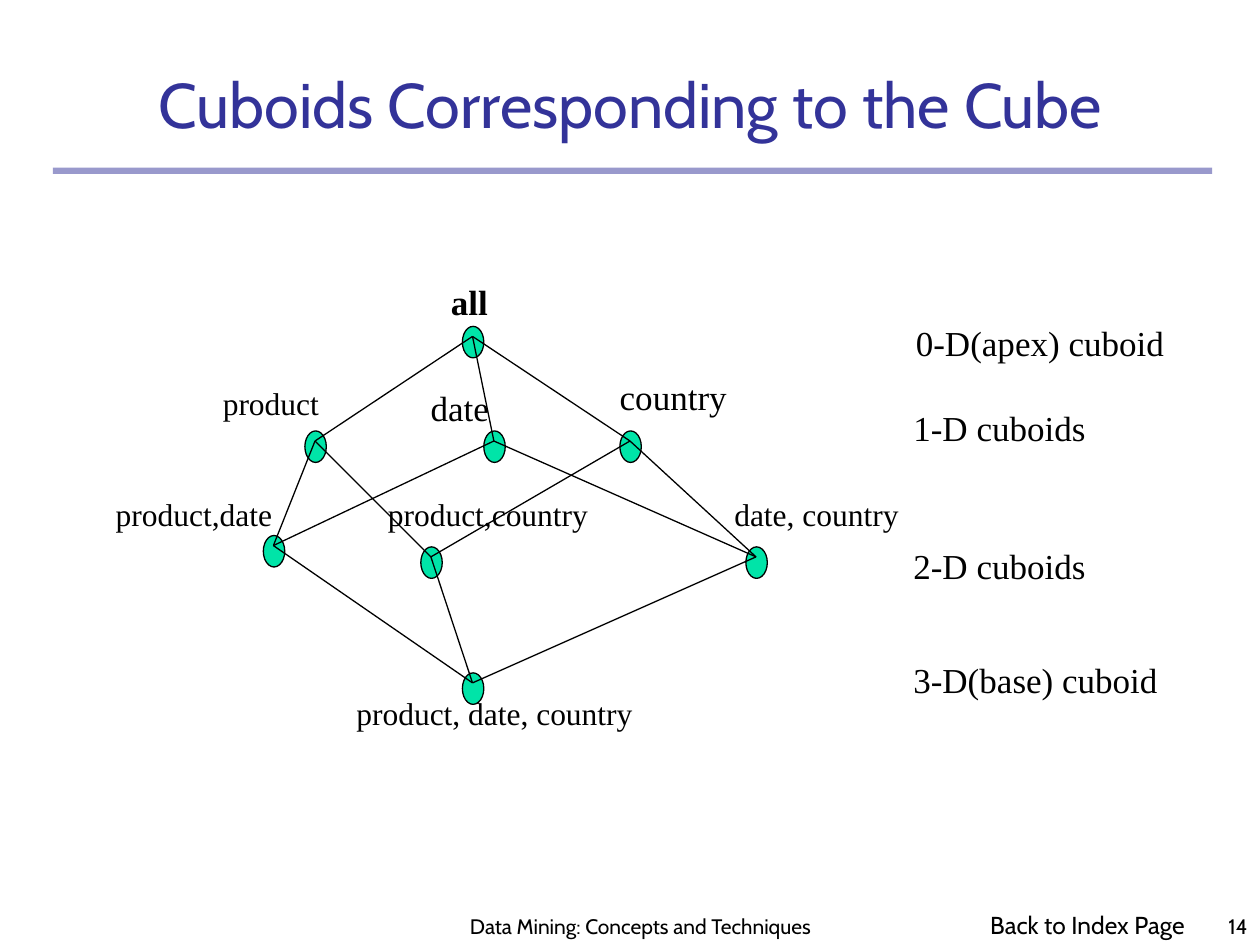
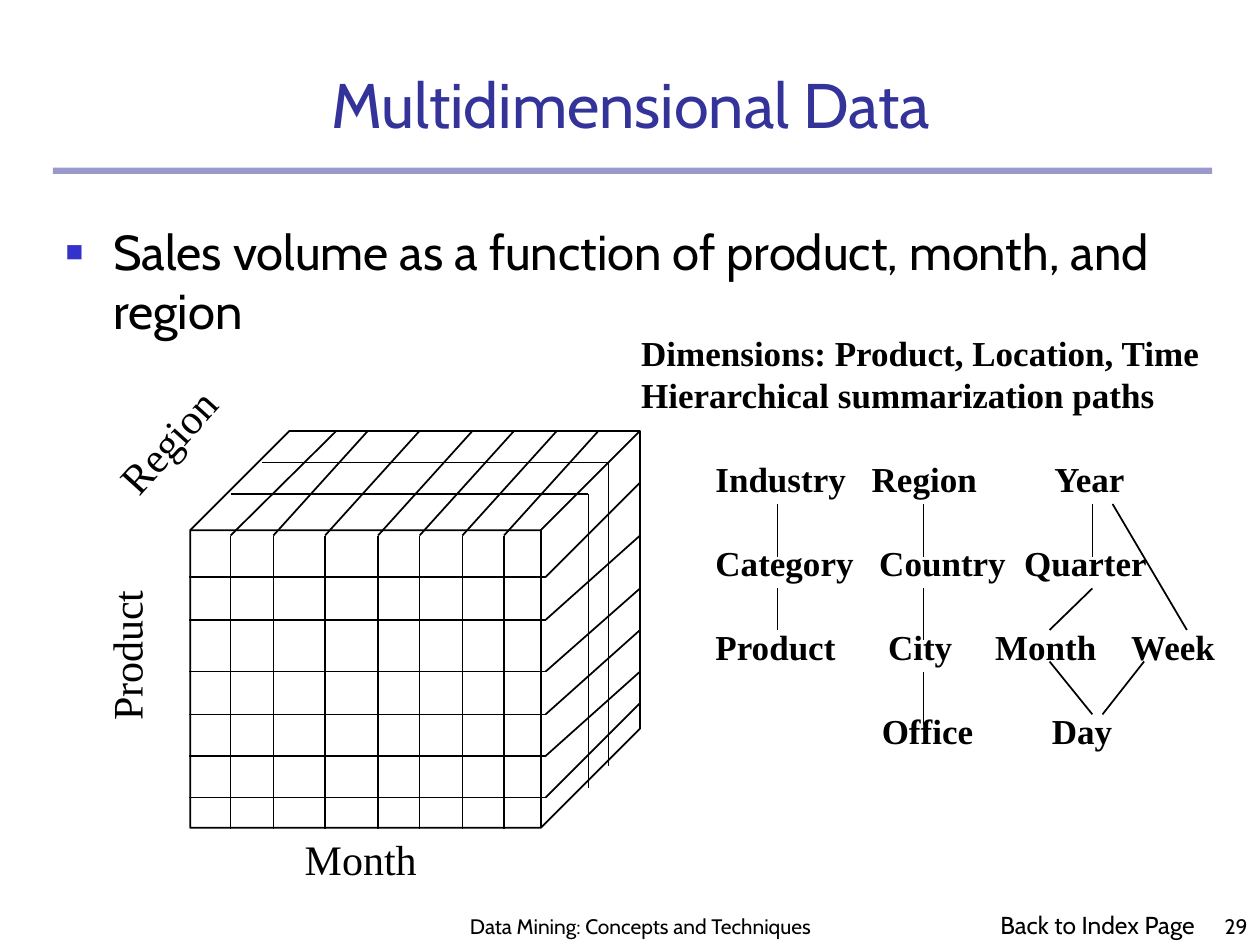
from dataclasses import dataclass
from itertools import permutations

from lxml.etree import SubElement
from pptx import Presentation
from pptx.dml.color import RGBColor
from pptx.enum.shapes import MSO_CONNECTOR, MSO_SHAPE
from pptx.enum.text import MSO_ANCHOR, MSO_AUTO_SIZE, PP_ALIGN
from pptx.oxml.ns import qn
from pptx.util import Inches, Pt


@dataclass(frozen=True)
class Theme:
    ink: RGBColor = RGBColor(0, 0, 0)
    title: RGBColor = RGBColor(0x33, 0x33, 0x99)
    rule: RGBColor = RGBColor(0x99, 0x99, 0xCC)
    node: RGBColor = RGBColor(0x00, 0xE4, 0xA8)
    bullet: str = "3333CC"
    sans: str = "Cabin"
    serif: str = "Times New Roman"
    title_size: int = 36
    body_size: int = 28
    axis_size: int = 24
    label_size: int = 20
    small_label_size: int = 18
    link_size: int = 14
    footer_size: int = 12


THEME = Theme()


def inches(*lengths):
    return [Inches(length) for length in lengths]


def place(shape, left, top, width, height):
    sizes = dict(left=left, top=top, width=width, height=height)
    for name, value in sizes.items():
        setattr(shape, name, Inches(value))


def format_frame(frame, **settings):
    values = dict(margin_left=Inches(0.1), margin_right=Inches(0.1),
                  margin_top=Inches(0.05), margin_bottom=Inches(0.05),
                  auto_size=MSO_AUTO_SIZE.NONE, word_wrap=True,
                  vertical_anchor=MSO_ANCHOR.TOP)
    for name, value in (values | settings).items():
        setattr(frame, name, value)


def format_font(paragraph, size, name=THEME.serif, color=THEME.ink, bold=False):
    for attribute, value in dict(size=Pt(size), name=name, bold=bold).items():
        setattr(paragraph.font, attribute, value)
    paragraph.font.color.rgb = color


def add_text(page, text, area, size=THEME.label_size, font=THEME.serif,
             bold=False, align=PP_ALIGN.LEFT, rotation=0, **frame_settings):
    box = page.shapes.add_textbox(*inches(*area))
    box.rotation = rotation
    format_frame(box.text_frame, **(dict(word_wrap=False) | frame_settings))
    box.text_frame.text = text
    for paragraph in box.text_frame.paragraphs:
        paragraph.alignment = align
        format_font(paragraph, size, font, bold=bold)
    return box


def add_line(page, start, end, weight=1):
    line = page.shapes.add_connector(MSO_CONNECTOR.STRAIGHT, *inches(*start, *end))
    line.line.color.rgb = THEME.ink
    line.line.width = Pt(weight)
    SubElement(line._element.spPr, qn("a:effectLst"))


def add_preset(page, preset, area, fill=None, weight=None):
    shape = page.shapes.add_shape(preset, *inches(*area))
    shape.shadow.inherit = False
    if fill is None:
        shape.fill.background()
    else:
        shape.fill.solid()
        shape.fill.fore_color.rgb = fill
    if weight is None:
        shape.line.fill.background()
    else:
        shape.line.color.rgb = THEME.ink
        shape.line.width = Pt(weight)
    return shape


def add_page(deck, layout, title, number, link_left):
    """Add a slide with the shared title, rule, footer and page number."""
    page = deck.slides.add_slide(deck.slide_layouts[layout])
    add_preset(page, MSO_SHAPE.RECTANGLE, (0.42, 1.33, 9.2, 0.05), THEME.rule)
    heading = page.shapes.title
    place(heading, 0.42, 0.42, 9.17, 0.75)
    heading.text_frame.text = title
    format_frame(heading.text_frame, vertical_anchor=MSO_ANCHOR.BOTTOM)
    paragraph = heading.text_frame.paragraphs[0]
    paragraph.alignment = PP_ALIGN.CENTER
    format_font(paragraph, THEME.title_size, THEME.sans, THEME.title)

    footers = [("Data Mining: Concepts and Techniques", (3.5, 6.92, 3.17, 0.58), PP_ALIGN.CENTER),
               (str(number), (7.92, 7, 2.08, 0.5), PP_ALIGN.RIGHT)]
    for text, area, align in footers:
        add_text(page, text, area, THEME.footer_size, THEME.sans, align=align,
                 word_wrap=True, vertical_anchor=MSO_ANCHOR.BOTTOM)
    add_text(page, "Back to Index Page", (link_left, 7.17, 1.95, 0.34),
             THEME.link_size, THEME.sans)
    return page


def add_bullet_text(page, text):
    body = page.placeholders[1]
    place(body, 0.42, 1.71, 9.08, 5)
    format_frame(body.text_frame)
    body.text_frame.text = text
    paragraph = body.text_frame.paragraphs[0]
    properties = paragraph._p.get_or_add_pPr()
    properties.set("marL", str(Inches(0.38)))
    properties.set("indent", str(-Inches(0.38)))
    color = SubElement(properties, qn("a:buClr"))
    SubElement(color, qn("a:srgbClr"), val=THEME.bullet)
    SubElement(properties, qn("a:buSzPct"), val="60000")
    SubElement(properties, qn("a:buChar"), char="■")
    paragraph.space_before = Pt(0)
    format_font(paragraph, THEME.body_size, THEME.sans)


def add_lattice(page):
    """Join each cuboid to those that have exactly one dimension more."""
    cuboids = {
        (): (3.75, 2.67),
        ("product",): (2.5, 3.5),
        ("date",): (3.92, 3.5),
        ("country",): (5, 3.5),
        ("product", "date"): (2.17, 4.33),
        ("product", "country"): (3.42, 4.42),
        ("date", "country"): (6, 4.42),
        ("product", "date", "country"): (3.75, 5.42),
    }
    for x, y in cuboids.values():
        add_preset(page, MSO_SHAPE.FLOWCHART_CONNECTOR,
                   (x - 0.08, y - 0.08, 0.17, 0.25), THEME.node, 0.75)
    for upper, lower in permutations(cuboids, 2):
        if len(lower) == len(upper) + 1 and set(upper) < set(lower):
            add_line(page, cuboids[upper], cuboids[lower], 0.75)


def add_lattice_labels(page):
    add_text(page, "all", (3.48, 2.18, 0.49, 0.44), bold=True)
    large_labels = [
        ("date", 3.32, 3.02, 0.66),
        ("country", 4.82, 2.93, 1.05),
        ("0-D(apex) cuboid", 7.17, 2.5, 2.17),
        ("1-D cuboids", 7.15, 3.18, 1.57),
        ("2-D cuboids", 7.15, 4.27, 1.57),
        ("3-D(base) cuboid", 7.15, 5.18, 2.14),
    ]
    small_labels = [
        ("product", 1.67, 3, 0.96),
        ("product,date", 0.82, 3.88, 1.44),
        ("product,country", 2.98, 3.88, 1.79),
        ("date, country", 5.73, 3.88, 1.5),
        ("product, date, country", 2.73, 5.46, 2.39),
    ]
    for labels, size, height in [(large_labels, THEME.label_size, 0.44),
                                 (small_labels, THEME.small_label_size, 0.4)]:
        for text, left, top, width in labels:
            add_text(page, text, (left, top, width, height), size)


def add_sales_cube(page):
    cube = add_preset(page, MSO_SHAPE.CUBE, (1.51, 3.42, 3.57, 3.15), weight=1)
    cube.adjustments[0] = 0.25
    front_left, front_right, back_right = 1.5, 4.33, 5.08
    front_top, front_bottom, back_top = 4.25, 6.58, 3.42

    product_rows = [(4.58, 3.83), (4.92, 4.25), (5.33, 4.67),
                    (5.67, 5), (6, 5.33), (6.33, 5.58)]
    for front_y, back_y in product_rows:
        add_line(page, (front_left, front_y), (front_right, front_y))
        add_line(page, (front_right, front_y), (back_right, back_y))

    month_columns = [(1.83, 2.67), (2.17, 2.92), (2.58, 3.33), (3, 3.75),
                     (3.33, 4.08), (3.67, 4.42), (4, 4.75)]
    for front_x, back_x in month_columns:
        add_line(page, (front_x, front_top), (front_x, front_bottom))
        add_line(page, (front_x, front_top), (back_x, back_top))

    region_slices = [(2.08, 4.83, 3.67, 6.08), (1.83, 4.67, 3.92, 6.25)]
    for left, right, top, bottom in region_slices:
        add_line(page, (left, top), (right, top))
        add_line(page, (right, top), (right, bottom))

    axes = [("Product", (0.38, 4.95, 1.24, 0.5), 270),
            ("Region", (0.75, 3.25, 1.16, 0.5), 312),
            ("Month", (2.32, 6.57, 1.09, 0.5), 0)]
    for text, area, rotation in axes:
        add_text(page, text, area, THEME.axis_size, rotation=rotation)


def add_tab_stops(paragraph, stops):
    tabs = SubElement(paragraph._p.get_or_add_pPr(), qn("a:tabLst"))
    for stop in stops:
        SubElement(tabs, qn("a:tab"), pos=str(Inches(stop)), algn="l")


def add_hierarchies(page):
    add_text(page, "Dimensions: Product, Location, Time\nHierarchical summarization paths",
             (4.99, 2.58, 4.65, 0.77), bold=True)

    levels = [
        ("Industry\tRegion\tYear", (1.24, 2.69)),
        ("Category\tCountry\tQuarter", (1.3, 2.45)),
        ("Product\tCity\tMonth\tWeek", (1.37, 2.22, 3.3)),
        ("\tOffice\tDay", (1.32, 2.67)),
    ]
    box = page.shapes.add_textbox(*inches(5.58, 3.58, 4.2, 2.44))
    format_frame(box.text_frame)
    box.text_frame.text = "\n".join(text for text, stops in levels)
    for row, (text, stops) in enumerate(levels):
        paragraph = box.text_frame.paragraphs[row]
        add_tab_stops(paragraph, stops)
        paragraph.space_before = Pt(24 if row else 0)
        format_font(paragraph, THEME.label_size, bold=True)

    links = [
        ((6.17, 4), (6.17, 4.42)), ((6.17, 4.67), (6.17, 5)),
        ((7.33, 4), (7.33, 4.42)), ((7.33, 4.67), (7.33, 5.08)),
        ((7.33, 5.33), (7.33, 5.75)),
        ((8.67, 4), (8.67, 4.42)), ((8.67, 4.67), (8.33, 5)),
        ((8.83, 4), (9.42, 5)),
        ((8.33, 5.25), (8.67, 5.67)), ((9.08, 5.25), (8.75, 5.67)),
    ]
    for start, end in links:
        add_line(page, start, end)


def main():
    deck = Presentation()
    deck.slide_width, deck.slide_height = inches(10, 7.5)

    page = add_page(deck, 5, "Cuboids Corresponding to the Cube", 14, 7.76)
    add_lattice(page)
    add_lattice_labels(page)

    page = add_page(deck, 1, "Multidimensional Data", 29, 7.84)
    add_bullet_text(page, "Sales volume as a function of product, month, and region")
    add_sales_cube(page)
    add_hierarchies(page)

    deck.save("out.pptx")


if __name__ == "__main__":
    main()
